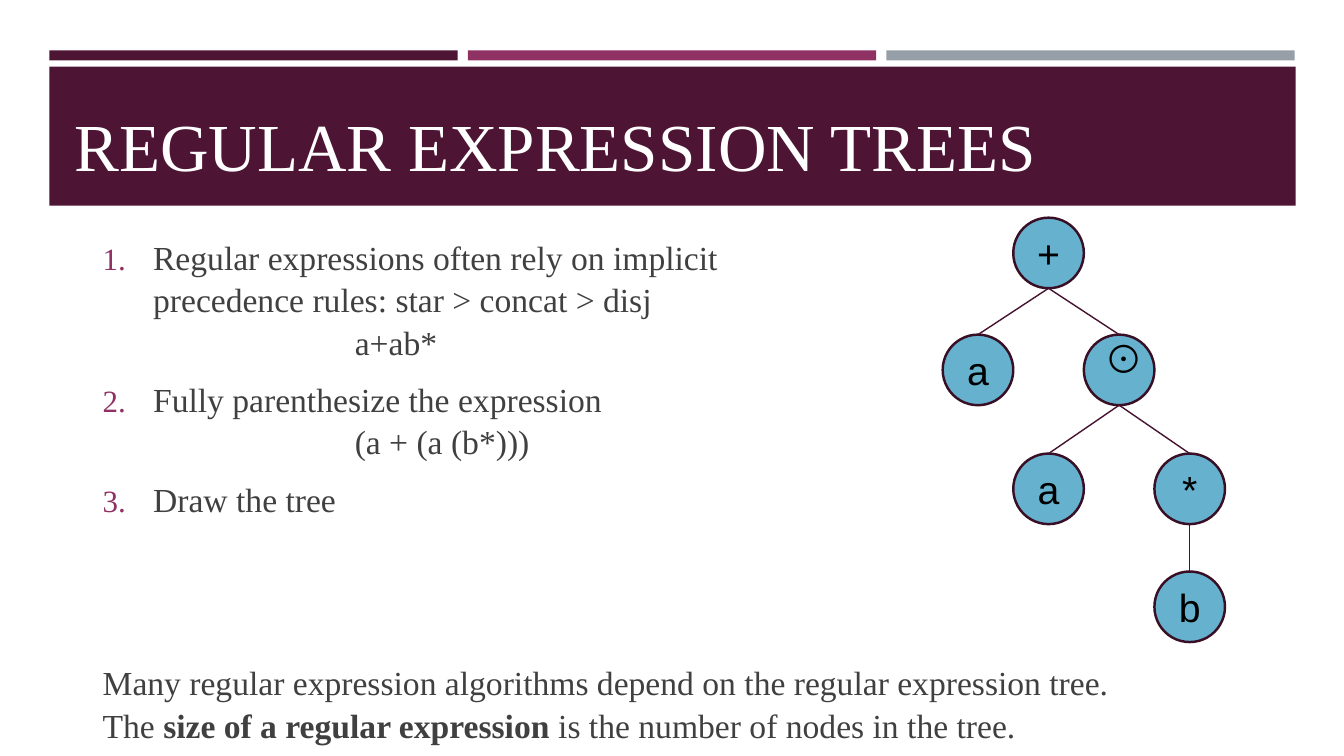
from lxml import etree
from pptx import Presentation
from pptx.dml.color import RGBColor
from pptx.enum.shapes import MSO_CONNECTOR, MSO_SHAPE
from pptx.enum.text import MSO_ANCHOR, PP_ALIGN
from pptx.oxml.ns import qn
from pptx.util import Inches, Pt

RECT, OVAL = MSO_SHAPE.RECTANGLE, MSO_SHAPE.OVAL
LINE = MSO_CONNECTOR.STRAIGHT
TOP, MIDDLE, BOTTOM = MSO_ANCHOR.TOP, MSO_ANCHOR.MIDDLE, MSO_ANCHOR.BOTTOM
CENTER = PP_ALIGN.CENTER

PLUM = RGBColor(0x4D, 0x14, 0x34)
BERRY = RGBColor(0x90, 0x31, 0x63)
GRAY = RGBColor(0x96, 0x9F, 0xA7)
BLUE = RGBColor(0x66, 0xB1, 0xCE)
RIM = RGBColor(0x39, 0x0F, 0x26)
EDGE = RGBColor(0x45, 0x12, 0x2F)
INK = RGBColor(0x40, 0x40, 0x40)
WHITE = RGBColor(0xFF, 0xFF, 0xFF)
BLACK = RGBColor(0, 0, 0)

SERIF, SANS = "Times New Roman", "Arial"
SIZE = 0.7  # node diameter
ROWS = [2.16, 3.32, 4.5, 5.67]

STEPS = [
    ("Regular expressions often rely on implicit precedence rules: "
     "star > concat > disj", "a+ab*"),
    ("Fully parenthesize the expression", "(a + (a (b*)))"),
    ("Draw the tree", None),
]
# label, column, row, parent index
NODES = [
    ("+", 1, 0, None),
    ("a", 0, 1, 0),
    ("⊙", 2, 1, 0),
    ("a", 1, 2, 2),
    ("*", 3, 2, 2),
    ("b", 3, 3, 4),
]


def add_run(para, text, size=24, color=INK, font=SERIF, bold=False):
    run = para.add_run()
    run.text = text
    run.font.size = Pt(size)
    run.font.name = font
    run.font.bold = bold
    run.font.color.rgb = color


def add_bar(slide, left, top, width, height, color):
    bar = slide.shapes.add_shape(
        RECT, Inches(left), Inches(top), Inches(width), Inches(height))
    bar.shadow.inherit = False
    bar.fill.solid()
    bar.fill.fore_color.rgb = color
    bar.line.fill.background()


def add_box(slide, left, top, width, height, anchor=TOP):
    box = slide.shapes.add_textbox(
        Inches(left), Inches(top), Inches(width), Inches(height))
    frame = box.text_frame
    frame.word_wrap = True
    frame.vertical_anchor = anchor
    return frame


def next_para(frame):
    """Return the unused first paragraph, or a new one."""
    first = frame.paragraphs[0]
    return frame.add_paragraph() if first.runs else first


def set_number(para, start):
    """Number the paragraph with a hanging indent."""
    props = para._p.get_or_add_pPr()
    props.set("marL", str(Inches(0.5)))
    props.set("indent", str(Inches(-0.5)))
    color = etree.SubElement(props, qn("a:buClr"))
    etree.SubElement(color, qn("a:srgbClr"), val=str(BERRY))
    etree.SubElement(props, qn("a:buSzPct"), val="92000")
    etree.SubElement(props, qn("a:buFont"), typeface=SERIF)
    etree.SubElement(props, qn("a:buAutoNum"), type="arabicPeriod",
                     startAt=str(start))


def add_steps(slide):
    frame = add_box(slide, 0.92, 2.16, 7.12, 3.91)
    frame.margin_top = Inches(0.17)
    for num, (text, sample) in enumerate(STEPS, 1):
        para = next_para(frame)
        para.line_spacing = 1.05
        add_run(para, text)
        if sample:
            para.space_after = Pt(0)
        set_number(para, num)
        if sample:
            para = next_para(frame)
            para.line_spacing = 1.05
            para.space_after = Pt(10.8)
            para._p.get_or_add_pPr().set("marL", str(Inches(2.5)))
            add_run(para, sample)


def add_note(slide):
    frame = add_box(slide, 0.92, 6.5, 11.5, 0.91)
    para = next_para(frame)
    para.line_spacing = 1.05
    add_run(para, "Many regular expression algorithms depend on "
                  "the regular expression tree.")
    para = next_para(frame)
    para.line_spacing = 1.05
    add_run(para, "The ")
    add_run(para, "size of a regular expression ", bold=True)
    add_run(para, "is the number of nodes in the tree.")


def add_node(slide, label, col, row):
    node = slide.shapes.add_shape(
        OVAL, Inches(9.35 + SIZE * col), Inches(ROWS[row]),
        Inches(SIZE), Inches(SIZE))
    node.shadow.inherit = False
    node.fill.solid()
    node.fill.fore_color.rgb = BLUE
    node.line.color.rgb = RIM
    node.line.width = Pt(1.75)
    frame = node.text_frame
    frame.vertical_anchor = MIDDLE
    if label == "⊙":
        frame.margin_bottom = Inches(0.3)
    para = next_para(frame)
    para.alignment = CENTER
    add_run(para, label, 28, BLACK, SANS)
    return node


def add_edge(slide, upper, lower):
    """Join the bottom of one node to the top of another."""
    edge = slide.shapes.add_connector(
        LINE, upper.left + upper.width // 2, upper.top + upper.height,
        lower.left + lower.width // 2, lower.top)
    edge.line.color.rgb = EDGE
    edge.line.width = Pt(1)
    etree.SubElement(edge._element.spPr, qn("a:effectLst"))


def add_tree(slide):
    nodes = [add_node(slide, label, col, row)
             for label, col, row, _ in NODES]
    for node, (*_, parent) in zip(nodes, NODES):
        if parent is not None:
            add_edge(slide, nodes[parent], node)


def main():
    deck = Presentation()
    deck.slide_width, deck.slide_height = Inches(13.33), Inches(7.5)
    slide = deck.slides.add_slide(deck.slide_layouts[6])
    for idx, color in enumerate((PLUM, BERRY, GRAY)):
        add_bar(slide, 0.49 + 4.15 * idx, 0.5, 4.05, 0.1, color)
    add_bar(slide, 0.49, 0.66, 12.36, 1.38, PLUM)
    title = add_box(slide, 0.64, 0.8, 12.06, 1.08, BOTTOM)
    add_run(next_para(title), "REGULAR EXPRESSION TREES", 48, WHITE)
    add_steps(slide)
    add_note(slide)
    add_tree(slide)
    deck.save("out.pptx")


if __name__ == "__main__":
    main()
